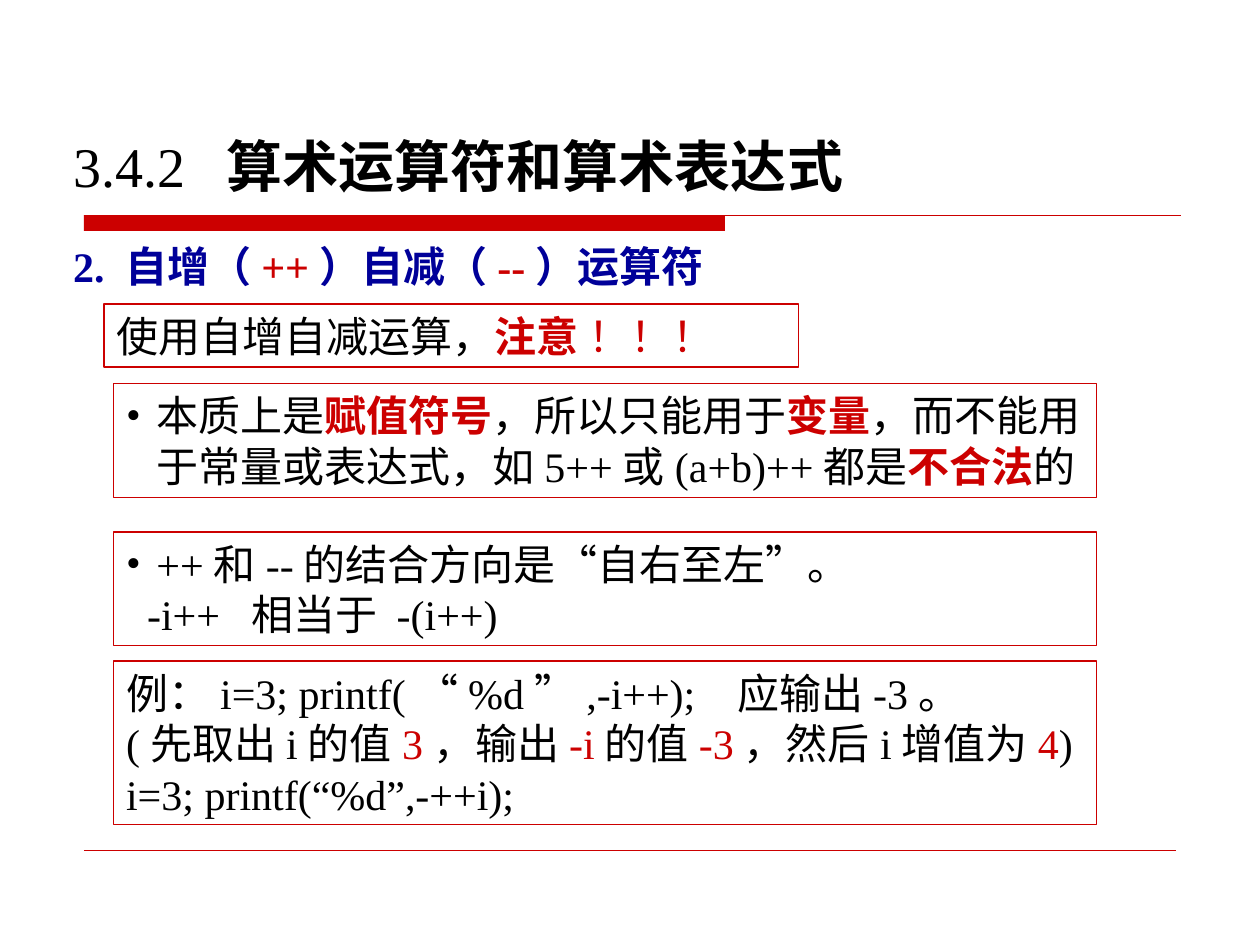
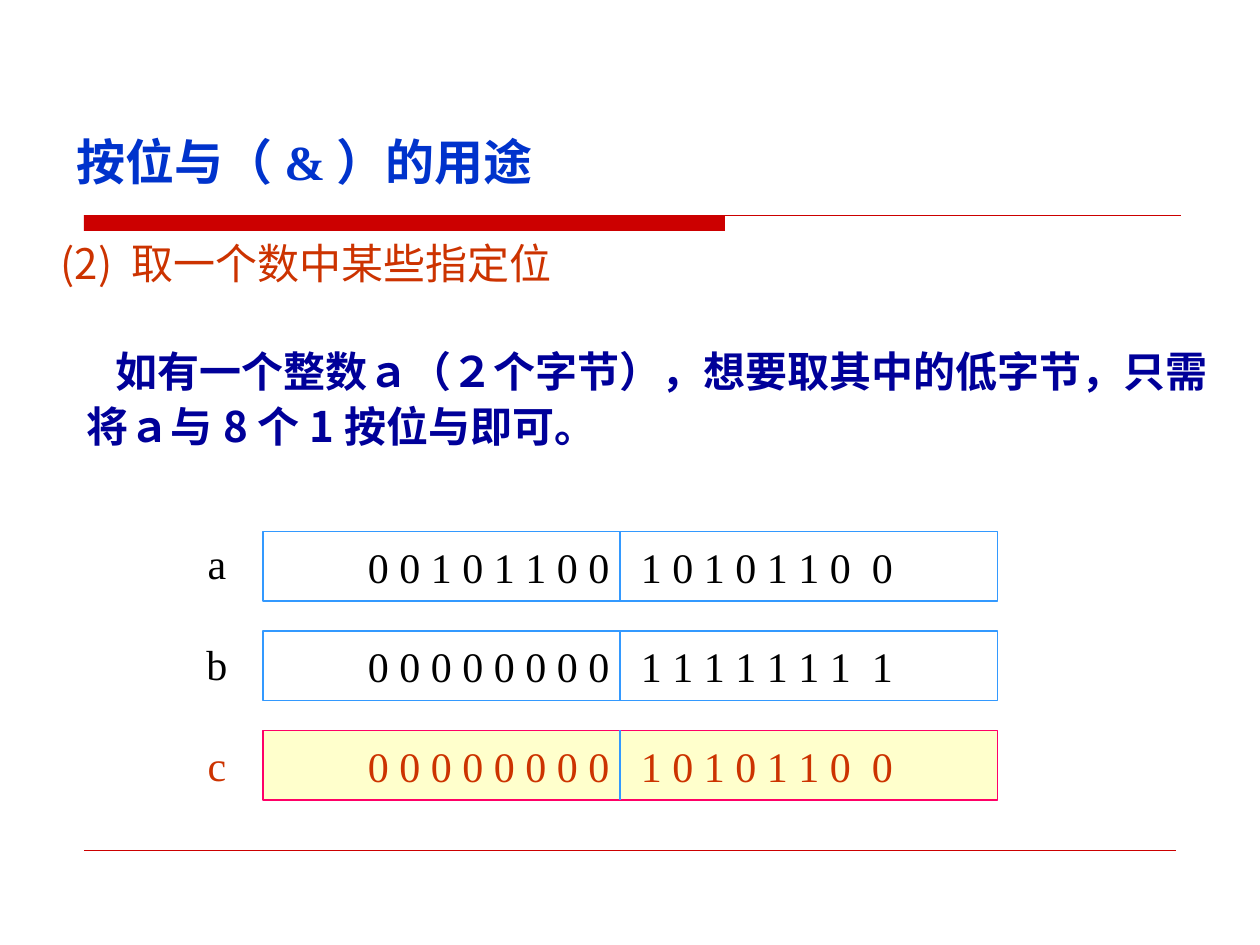
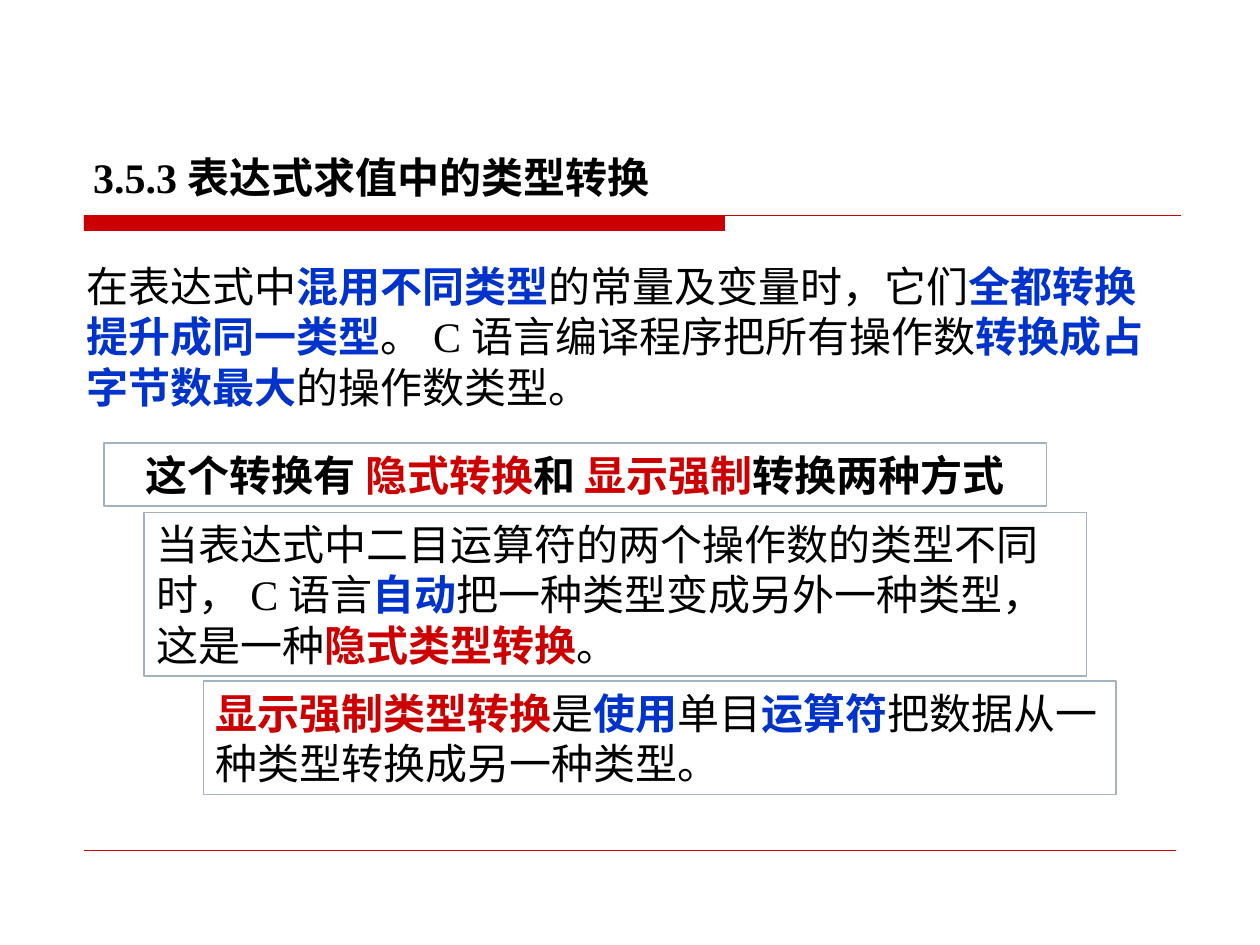
from lxml import etree
from pptx import Presentation
from pptx.dml.color import RGBColor
from pptx.enum.shapes import MSO_CONNECTOR, MSO_SHAPE
from pptx.enum.text import MSO_ANCHOR, MSO_AUTO_SIZE, PP_ALIGN
from pptx.oxml.ns import qn
from pptx.util import Pt

RECTANGLE, STRAIGHT = MSO_SHAPE.RECTANGLE, MSO_CONNECTOR.STRAIGHT
TOP, MIDDLE = MSO_ANCHOR.TOP, MSO_ANCHOR.MIDDLE
LEFT, CENTER = PP_ALIGN.LEFT, PP_ALIGN.CENTER
FIXED = MSO_AUTO_SIZE.NONE
SERIF, SANS = "Times New Roman", "Noto Sans CJK SC"
RED_HEX, SKY, SLATE, PINK = "CC0000", "3399FF", "A3B2C1", "FF0066"
rgb = RGBColor.from_string

# Run styles: colour, bold and, where needed, extra character spacing in points
PLAIN, STRONG = ("000000", False), ("000000", True)
RED, RED_BOLD = (RED_HEX, False), (RED_HEX, True)
BLUE_BOLD, NAVY_BOLD = ("0033CC", True), ("000099", True)
RUST = ("CC3300", False)

# Paragraph layouts: left margin, first-line indent, bullet
FLUSH = (0, 0, "")
BULLETED = (17.3, -17.3, "•")


def write(shape, place, paragraphs, layouts=(), size=24, font=SERIF,
          align=LEFT, anchor=TOP, spacing=None):
    """Place a shape and fill it with paragraphs of (text, style) runs."""
    shape.left, shape.top, shape.width, shape.height = map(Pt, place)
    frame = shape.text_frame
    frame.word_wrap, frame.auto_size, frame.vertical_anchor = True, FIXED, anchor
    frame.margin_left = frame.margin_right = Pt(7.2)
    frame.margin_top = frame.margin_bottom = Pt(3.6)
    for number, runs in enumerate(paragraphs):
        paragraph = frame.add_paragraph() if number else frame.paragraphs[0]
        paragraph.alignment, paragraph.space_before = align, Pt(0)
        paragraph.line_spacing = spacing
        margin, indent, bullet = layouts[number] if layouts else FLUSH
        props = paragraph._p.get_or_add_pPr()
        props.set("marL", str(Pt(margin)))
        props.set("indent", str(Pt(indent)))
        if bullet:
            etree.SubElement(props, qn("a:buFont"), typeface=font)
            etree.SubElement(props, qn("a:buChar"), char=bullet)
        else:
            etree.SubElement(props, qn("a:buNone"))
        for text, (colour, bold, *tracking) in runs:
            run = paragraph.add_run()
            run.text = text
            run.font.name, run.font.size, run.font.bold = font, Pt(size), bold
            run.font.color.rgb = rgb(colour)
            for points in tracking:
                run._r.get_or_add_rPr().set("spc", str(points * 100))


def add_line(slide, ends, colour, width):
    line = slide.shapes.add_connector(STRAIGHT, *map(Pt, ends))
    line.line.color.rgb, line.line.width = rgb(colour), Pt(width)
    etree.SubElement(line._element.spPr, qn("a:effectLst"))
    return line


prs = Presentation()
prs.slide_width, prs.slide_height = Pt(720), Pt(540)
layout = prs.slide_layouts[1]
increment, bitwise, conversion = [prs.slides.add_slide(layout) for _ in range(3)]

# Band and rules, moved to the shared layout
band = increment.shapes.add_shape(RECTANGLE, Pt(48), Pt(123), Pt(366.3), Pt(9))
band.shadow.inherit = False
band.fill.solid()
band.fill.fore_color.rgb = rgb(RED_HEX)
band.line.fill.background()
header_rule = add_line(increment, (48, 123.3, 674.6, 123.3), RED_HEX, 0.75)
footer_rule = add_line(increment, (48, 486, 672, 486), RED_HEX, 0.25)
for part in (band, header_rule, footer_rule):
    layout.shapes.element.append(part.element)

# Titles
write(increment.shapes.title, (34.6, 71.3, 459, 46),
      [[("3.4.2", PLAIN), (" ", (*PLAIN, 8)), ("算术运算符和算术表达式", STRONG)]],
      size=32)
write(bitwise.shapes.title, (36.7, 71.3, 380, 41),
      [[("按位与（&）的用途", BLUE_BOLD)]], size=28)
write(conversion.shapes.title, (46, 82.8, 338, 36),
      [[("3.5.3表达式求值中的类型转换", STRONG)]], anchor=MIDDLE)

# Body text
write(increment.placeholders[1], (34.6, 134, 380, 36),
      [[("2. 自增（", NAVY_BOLD), ("++", RED_BOLD), ("）自减（", NAVY_BOLD),
        ("--", RED_BOLD), ("）运算符", NAVY_BOLD)]])
write(bitwise.placeholders[1], (42.5, 190.8, 658, 113),
      [[("如有一个整数ａ（２个字节），想要取其中的低字节，只需将ａ与8个1按位与即可。",
         NAVY_BOLD)]], [(0, 16.5, "")], font=SANS, spacing=1.1)
write(conversion.placeholders[1], (42.5, 145.2, 623.5, 93.6),
      [[("在表达式中", PLAIN), ("混用不同类型", BLUE_BOLD),
        ("的常量及变量时，它们", PLAIN), ("全都转换提升成同一类型", BLUE_BOLD),
        ("。C语言编译程序把所有操作数", PLAIN), ("转换成占字节数最大", BLUE_BOLD),
        ("的操作数类型。", PLAIN)]])

# Framed notes: slide, frame colour, place, alignment, paragraphs, layouts
notes = [
    (increment, RED_HEX, (59.5, 173.8, 397, 36), LEFT,
     [[("使用自增自减运算，", PLAIN), ("注意 ", RED_BOLD), ("！！！", RED)]], ()),
    (increment, RED_HEX, (65, 219.2, 561.6, 65), LEFT,
     [[("本质上是", PLAIN), ("赋值符号", RED_BOLD), ("，所以只能用于", PLAIN),
       ("变量", RED_BOLD),
       ("，而不能用于常量或表达式，如5++或(a+b)++都是", PLAIN),
       ("不合法", RED_BOLD), ("的", PLAIN)]], [BULLETED]),
    (increment, RED_HEX, (65, 304, 561.6, 65), LEFT,
     [[("++和--的结合方向是“自右至左”。", PLAIN)],
      [("-i++", PLAIN), (" ", (*PLAIN, 6)), ("相当于 -(i++)", PLAIN)]],
     [BULLETED, (12, 0, "")]),
    (increment, RED_HEX, (65, 377.8, 561.6, 93.6), LEFT,
     [[("例：i=3; printf(“%d”,-i++);", PLAIN), (" ", (*PLAIN, 12)),
       ("应输出-3。", PLAIN)],
      [("(先取出i的值", PLAIN), ("3", RED), ("，输出", PLAIN), ("-i", RED),
       ("的值", PLAIN), ("-3", RED), ("，然后i增值为", PLAIN), ("4", RED),
       (")", PLAIN)],
      [("i=3; printf(“%d”,-++i);", PLAIN)]], ()),
    (conversion, SLATE, (59.5, 253.2, 538.6, 36), CENTER,
     [[("这个转换有 ", STRONG), ("隐式转换", RED_BOLD), ("和 ", STRONG),
       ("显示强制", RED_BOLD), ("转换两种方式", STRONG)]], ()),
    (conversion, SLATE, (82.2, 292.7, 538.6, 93.6), LEFT,
     [[("当表达式中二目运算符的两个操作数的类型不同时，C语言", PLAIN),
       ("自动", BLUE_BOLD), ("把一种类型变成另外一种类型，这是一种", PLAIN),
       ("隐式类型转换", RED_BOLD), ("。", PLAIN)]], ()),
    (conversion, SLATE, (116.2, 389.2, 521.5, 65), LEFT,
     [[("显示强制类型转换", RED_BOLD), ("是", PLAIN), ("使用", BLUE_BOLD),
       ("单目", PLAIN), ("运算符", BLUE_BOLD),
       ("把数据从一种类型转换成另一种类型。", PLAIN)]], ()),
]
for slide, frame_colour, place, align, paragraphs, layouts in notes:
    note = slide.shapes.add_shape(RECTANGLE, *map(Pt, place))
    note.shadow.inherit = False
    note.fill.background()
    note.line.color.rgb, note.line.width = rgb(frame_colour), Pt(0.75)
    write(note, place, paragraphs, layouts, align=align)

# Bitwise AND: operands a and b, result c
purpose = bitwise.shapes.add_textbox(0, 0, 0, 0)
write(purpose, (27.5, 134.4, 627.5, 51), [[("(2) 取一个数中某些指定位", RUST)]],
      font=SANS, spacing=0.95)

# Letter, high byte, low byte without its last bit, last bit, style, frame colour
operands = [
    ("a", "0 0 1 0 1 1 0 0", "1 0 1 0 1 1 0", "0", PLAIN, SKY),
    ("b", "0 0 0 0 0 0 0 0", "1 1 1 1 1 1 1", "1", PLAIN, SKY),
    ("c", "0 0 0 0 0 0 0 0", "1 0 1 0 1 1 0", "0", RUST, PINK),
]
ROW_TOP, ROW_PITCH, ROW_HEIGHT, LABEL_PITCH = 303.8, 56.8, 39.7, 57.6
for row, (letter, high, low, last, style, frame_colour) in enumerate(operands):
    top = ROW_TOP + row * ROW_PITCH
    place = (150.3, top, 419.8, ROW_HEIGHT)
    register = bitwise.shapes.add_shape(RECTANGLE, *map(Pt, place))
    register.shadow.inherit = False
    if letter == "c":
        register.fill.solid()
        register.fill.fore_color.rgb = rgb("FFFFCC")
    else:
        register.fill.background()
    register.line.color.rgb, register.line.width = rgb(frame_colour), Pt(1)
    write(register, place,
          [[(high, style), (" ", (*style, 12)), (low, style),
            (" ", (*style, 6)), (last, style)]], align=CENTER, anchor=MIDDLE)
    add_line(bitwise, (354.3, top, 354.3, top + ROW_HEIGHT), SKY, 1)
    label = bitwise.shapes.add_textbox(0, 0, 0, 0)
    write(label, (110.7, ROW_TOP + row * LABEL_PITCH, 26.5, 36),
          [[(letter, style)]], align=CENTER)

prs.save("out.pptx")
